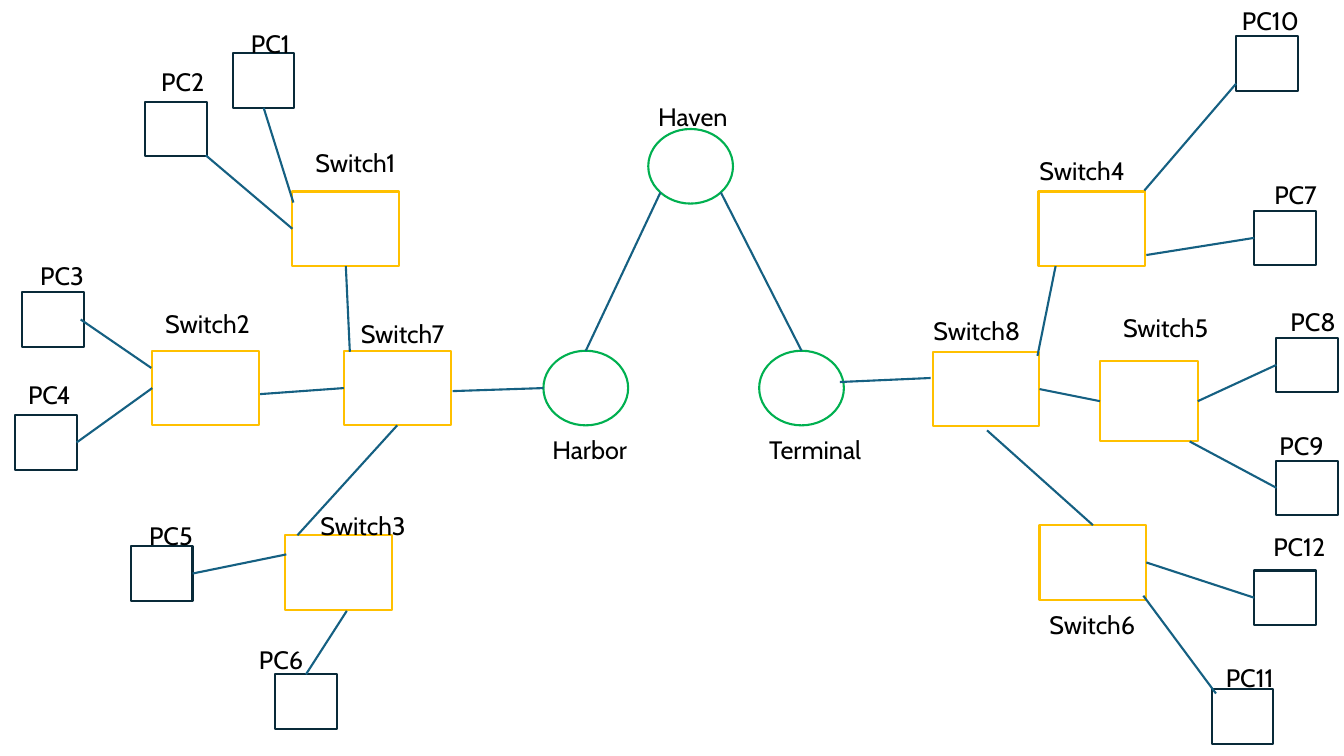
from lxml import etree
from pptx import Presentation
from pptx import util as u
from pptx.dml.color import RGBColor
from pptx.enum import shapes, text
from pptx.oxml import ns

COLS, ROWS = 133.3, 75
TOP, LEFT, BASE, RIGHT = range(4)


def hue(code):
    return RGBColor.from_string(code)


class Board:
    """Style and current slide; lengths are grid columns and rows."""
    font, size, line = "Cabin", 18, 1.5
    ink, wire = "000000", "156082"

    def __init__(self, deck):
        self.slide = deck.slides.add_slide(deck.slide_layouts[6])
        self.col = deck.slide_width / COLS
        self.row = deck.slide_height / ROWS
        self.nodes = {}

    def x(self, n):
        return round(n * self.col)

    def y(self, n):
        return round(n * self.row)

    def box(self, x, y, w, h):
        return self.x(x), self.y(y), self.x(w), self.y(h)

    def node(self, name, form, tone, *area):
        item = self.slide.shapes.add_shape(form, *self.box(*area))
        item.shadow.inherit = False
        item.fill.background()
        item.line.color.rgb = hue(tone)
        item.line.width = u.Pt(self.line)
        self.nodes[name] = item

    def label(self, words, x, y, w):
        frame = self.slide.shapes.add_textbox(*self.box(x, y, w, 4)).text_frame
        frame.word_wrap = True
        frame.auto_size = text.MSO_AUTO_SIZE.SHAPE_TO_FIT_TEXT
        run = frame.paragraphs[0].add_run()
        run.text = words
        run.font.name = self.font
        run.font.size = u.Pt(self.size)
        run.font.color.rgb = hue(self.ink)

    def link(self, start, end):
        """Each end is a (node name, side) pair or a (column, row) point."""
        ends = (start, end)
        spots = [(0, 0) if isinstance(a, str) else (self.x(a), self.y(b))
                 for a, b in ends]
        wire = self.slide.shapes.add_connector(
            shapes.MSO_CONNECTOR.STRAIGHT, *spots[0], *spots[1])
        for (name, side), join in zip(ends, (wire.begin_connect, wire.end_connect)):
            if isinstance(name, str):
                join(self.nodes[name], side)
        wire.line.color.rgb = hue(self.wire)
        wire.line.width = u.Pt(self.line)
        etree.SubElement(wire._element.spPr, ns.qn("a:effectLst"))


# Kind: form, line colour, width, height
ROUND, RECT = shapes.MSO_SHAPE.OVAL, shapes.MSO_SHAPE.RECTANGLE
KINDS = {
    "site": (ROUND, "00B050", 8.4, 7.4),
    "switch": (RECT, "FFC000", 10.6, 7.4),
    "wide": (RECT, "FFC000", 9.7, 8),
    "pc": (RECT, "092A39", 6.1, 5.4),
}

# Name, kind, place of the node, place and width of its label
NODES = [
    ("Haven", "site", 64.3, 12.8, 64.3, 9.6, 10.6),
    ("Terminal", "site", 75.3, 34.8, 75.3, 42.6, 12.2),
    ("Harbor", "site", 53.9, 34.8, 53.8, 42.6, 10.6),
    ("Switch1", "switch", 29, 19, 30.3, 14.1, 11.5),
    ("Switch2", "switch", 15.1, 34.8, 15.4, 30.1, 11.5),
    ("Switch3", "switch", 28.3, 53.1, 30.8, 50.1, 11.5),
    ("Switch4", "switch", 103, 19, 102.1, 14.9, 11.5),
    ("Switch5", "wide", 109.1, 35.8, 110.4, 30.5, 11.5),
    ("Switch6", "switch", 103.1, 52.1, 103.1, 60, 11.5),
    ("Switch7", "switch", 34.1, 34.8, 34.8, 31.1, 11.5),
    ("Switch8", "switch", 92.5, 34.9, 91.6, 30.8, 11.5),
    ("PC1", "pc", 23.1, 5.3, 23.9, 2.3, 7.8),
    ("PC2", "pc", 14.4, 10.1, 15, 6.1, 6.9),
    ("PC3", "pc", 2.2, 29, 3, 25.3, 7.6),
    ("PC4", "pc", 1.5, 41.2, 1.8, 37.1, 7),
    ("PC5", "pc", 13, 54.2, 13.8, 51.1, 7.9),
    ("PC6", "pc", 27.3, 66.9, 24.7, 63.4, 7.2),
    ("PC7", "pc", 124.4, 20.9, 125.4, 17.3, 7.3),
    ("PC8", "pc", 126.6, 33.5, 127, 29.9, 8.2),
    ("PC9", "pc", 126.6, 45.7, 125.9, 42.2, 8.2),
    ("PC10", "pc", 122.6, 3.6, 122.2, 0, 8.3),
    ("PC11", "pc", 120.2, 68.4, 120.6, 65.2, 8.6),
    ("PC12", "pc", 124.4, 56.6, 125.3, 52.2, 8.1),
]

LINKS = [
    # Between sites and switches
    ((65.5, 19.1), ("Harbor", TOP)),
    ((71.5, 19.1), ("Terminal", TOP)),
    ((53.9, 38.5), (44.9, 38.8)),
    ((92.3, 37.5), (83.3, 37.9)),
    # Between switches
    (("Switch1", BASE), (34.7, 34.9)),
    (("Switch7", LEFT), (25.8, 39.1)),
    (("Switch7", BASE), (29.5, 53.1)),
    ((104.7, 26.4), (102.9, 35.3)),
    (("Switch5", LEFT), ("Switch8", RIGHT)),
    ((97.9, 42.7), ("Switch6", TOP)),
    # From switches to computers
    ((29.1, 20.1), ("PC1", BASE)),
    (("Switch1", LEFT), (20.4, 15.4)),
    ((15, 36.5), (8, 31.7)),
    (("Switch2", LEFT), ("PC4", RIGHT)),
    ((28.4, 55), ("PC5", RIGHT)),
    ((34.4, 60.6), ("PC6", TOP)),
    (("PC7", LEFT), (113.7, 25.3)),
    (("PC8", LEFT), ("Switch5", RIGHT)),
    ((118, 43.8), ("PC9", LEFT)),
    ((122.6, 8.3), (113.5, 18.9)),
    ((120.6, 68.8), (113.4, 59.1)),
    (("PC12", LEFT), ("Switch6", RIGHT)),
]


def main():
    deck = Presentation()
    deck.slide_width, deck.slide_height = u.Inches(13.33), u.Inches(7.5)
    board = Board(deck)
    # Nodes with their labels
    for name, kind, x, y, *tag in NODES:
        form, tone, w, h = KINDS[kind]
        board.node(name, form, tone, x, y, w, h)
        board.label(name, *tag)
    # Wires
    for start, end in LINKS:
        board.link(start, end)
    deck.save("out.pptx")


if __name__ == "__main__":
    main()
